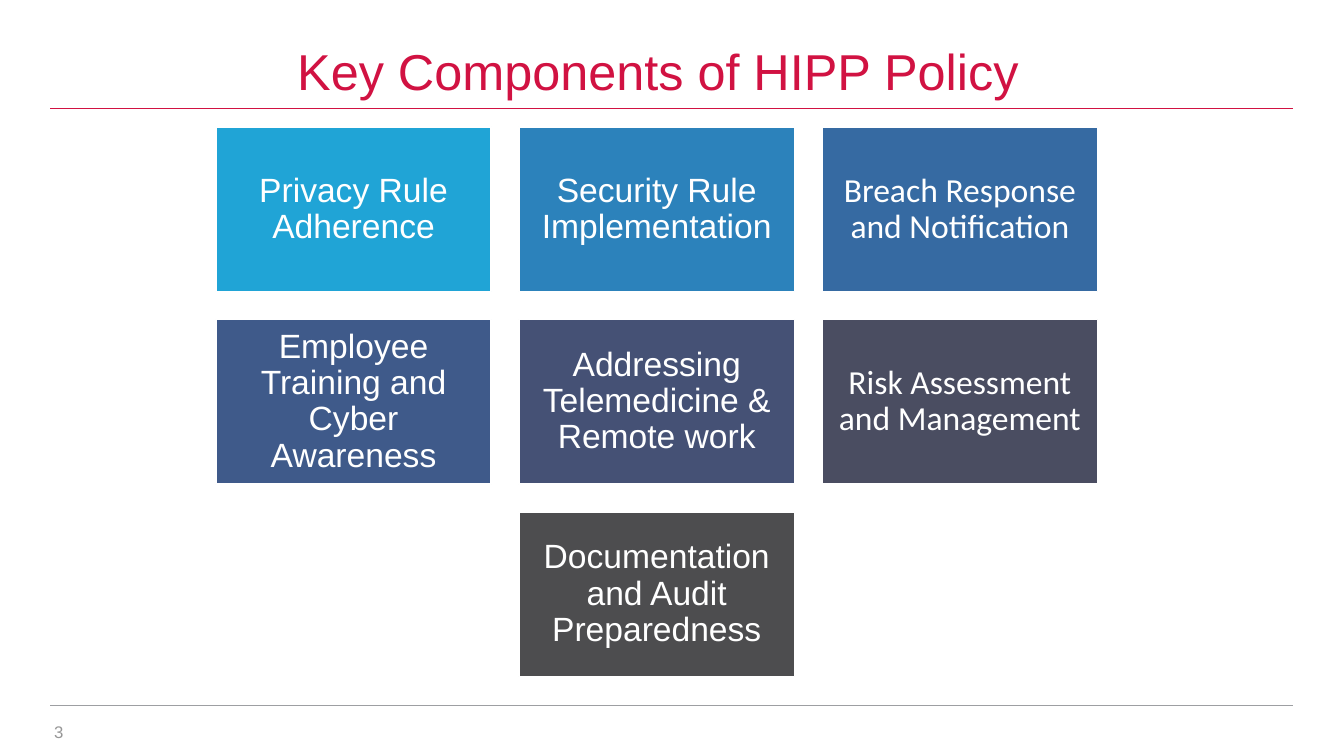
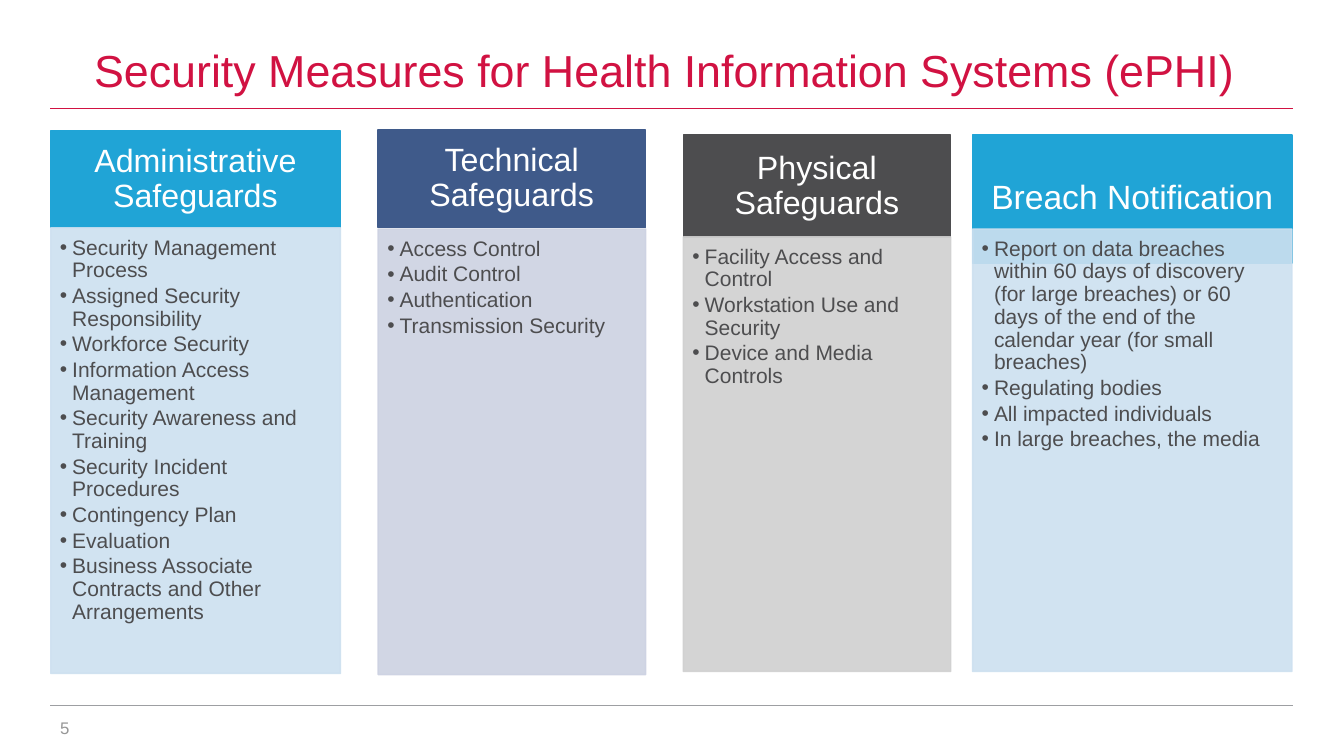
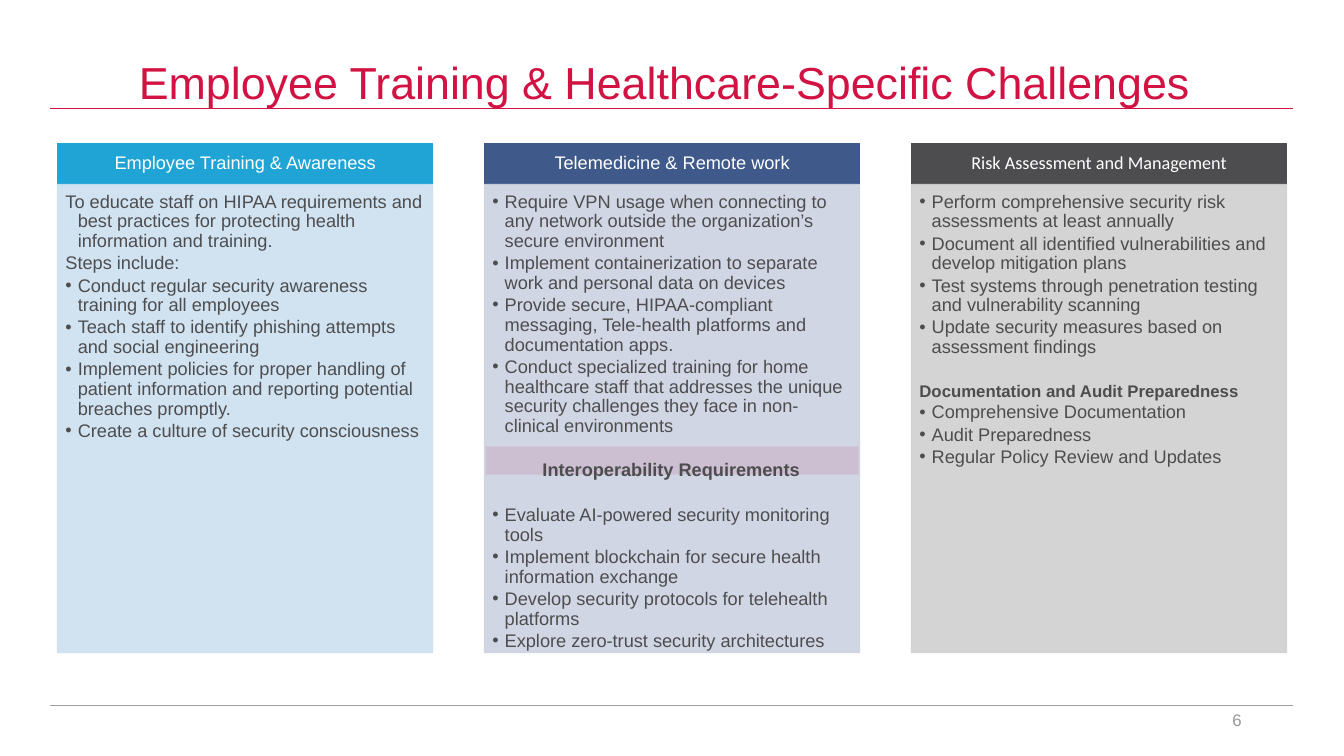
from dataclasses import dataclass

from lxml import etree
from pptx import Presentation
from pptx.dml.color import RGBColor
from pptx.enum.shapes import MSO_CONNECTOR, MSO_SHAPE
from pptx.enum.text import MSO_ANCHOR, MSO_AUTO_SIZE, PP_ALIGN
from pptx.oxml.ns import qn
from pptx.util import Cm, Pt

LEFT, CENTER, RIGHT = PP_ALIGN.LEFT, PP_ALIGN.CENTER, PP_ALIGN.RIGHT
TOP, MIDDLE, BOTTOM = MSO_ANCHOR.TOP, MSO_ANCHOR.MIDDLE, MSO_ANCHOR.BOTTOM
NO_FIT = MSO_AUTO_SIZE.NONE
RECTANGLE = MSO_SHAPE.RECTANGLE
STRAIGHT = MSO_CONNECTOR.STRAIGHT

TITLE_ONLY, COMPARISON = 5, 4  # layouts; the second has four body placeholders
COLORS = {
    "crimson": "D11242",
    "rule": "9D9FA2",
    "number": "979797",
    "white": "FFFFFF",
    "text": "4D4D4F",
    "sky": "20A4D6",
    "blue": "2C82BB",
    "steel": "366AA2",
    "navy": "3F5A8A",
    "indigo": "455175",
    "slate": "4A4D61",
    "charcoal": "4D4D4F",
    "pale sky": "CDE0F0",
    "pale navy": "CDD2E2",
    "pale gray": "D0D0D0",
}
PALE = {"sky": "pale sky", "navy": "pale navy", "charcoal": "pale gray"}
BULLET_INDENT = 0.31


@dataclass(frozen=True)
class Box:
    """A rectangle in centimetres."""
    left: float
    top: float
    width: float
    height: float


@dataclass(frozen=True)
class Tile:
    text: str
    color: str
    font: str = "Arial"


@dataclass(frozen=True)
class Item:
    """A paragraph of a list; before is the space above it in points."""
    text: str
    bullet: bool = True
    bold: bool = False
    align: PP_ALIGN = LEFT
    before: float = 0
    size: float | None = None


@dataclass(frozen=True)
class Column:
    head: Tile
    head_box: Box
    head_size: float
    body_top: float
    body_height: float
    items: list[Item]


def color(name):
    return RGBColor.from_string(COLORS[name])


def place(shape, box: Box):
    shape.left, shape.top = Cm(box.left), Cm(box.top)
    shape.width, shape.height = Cm(box.width), Cm(box.height)


def set_frame(shape, *, anchor=MIDDLE, insets=(0, 0, 0, 0)):
    """Insets are left, top, right and bottom in centimetres."""
    frame = shape.text_frame
    frame.word_wrap = True
    frame.auto_size = NO_FIT
    frame.vertical_anchor = anchor
    (frame.margin_left, frame.margin_top,
     frame.margin_right, frame.margin_bottom) = map(Cm, insets)
    return frame


def write(para, text, *, size, ink, font="Arial", bold=False, align=CENTER, before=0, after=0):
    para.alignment = align
    para.line_spacing = 0.9
    para.space_before, para.space_after = Pt(before), Pt(after)
    span = para.add_run()
    span.text = text
    span.font.name, span.font.size = font, Pt(size)
    span.font.bold = bold
    span.font.color.rgb = color(ink)


def set_bullet(para, shown: bool):
    properties = para._p.get_or_add_pPr()
    properties.set("marL", str(Cm(BULLET_INDENT)))
    properties.set("indent", str(-Cm(BULLET_INDENT)))
    if shown:
        etree.SubElement(properties, qn("a:buFont"), typeface="Arial")
        etree.SubElement(properties, qn("a:buChar"), char="•")
    else:
        etree.SubElement(properties, qn("a:buNone"))


def paint(shape, fill, line=None, opacity=100):
    shape.fill.solid()
    shape.fill.fore_color.rgb = color(fill)
    shape.line.width = Pt(1)
    shape.line.color.rgb = color(line or fill)
    shape.shadow.inherit = False
    if opacity < 100:
        for tint in shape._element.spPr.iter(qn("a:srgbClr")):
            etree.SubElement(tint, qn("a:alpha"), val=str(opacity * 1000))


def add_tile(page, tile: Tile, box: Box, size, *, line=None, insets=(0.25, 0.25, 0.25, 0.25)):
    shape = page.shapes.add_shape(RECTANGLE, 0, 0, 0, 0)
    place(shape, box)
    paint(shape, tile.color, line)
    frame = set_frame(shape, insets=insets)
    write(frame.paragraphs[0], tile.text, size=size, ink="white", font=tile.font)


def add_rule(page, top, ink):
    rule = page.shapes.add_connector(STRAIGHT, Cm(1.27), Cm(top), Cm(32.59), Cm(top))
    rule.line.width = Pt(0.5)
    rule.line.color.rgb = color(ink)
    etree.SubElement(rule._element.spPr, qn("a:effectLst"))


def add_page(deck, layout, title, title_box: Box, title_size, number, number_right, number_middle):
    """Add a slide with title, two rules and its number."""
    page = deck.slides.add_slide(deck.slide_layouts[layout])
    heading = page.shapes.title
    place(heading, title_box)
    frame = set_frame(heading, anchor=BOTTOM, insets=(0.25, 0.13, 0.25, 0.13))
    write(frame.paragraphs[0], title, size=title_size, ink="crimson")
    add_rule(page, 17.78, "rule")
    add_rule(page, 2.72, "crimson")
    label = page.shapes.add_textbox(0, 0, 0, 0)
    place(label, Box(number_right - 1, number_middle - 0.5, 1, 1))
    frame = set_frame(label)
    write(frame.paragraphs[0], number, size=12, ink="number", align=RIGHT)
    return page


def add_columns(page, columns: list[Column], size, head_insets, body_insets):
    bodies = [shape for shape in page.placeholders if shape.placeholder_format.idx > 0]
    for column, body in zip(columns, bodies):
        add_tile(page, column.head, column.head_box, column.head_size, insets=head_insets)
        page.shapes._spTree.append(body._element)  # bring in front of the head
        place(body, Box(column.head_box.left, column.body_top,
                        column.head_box.width, column.body_height))
        paint(body, PALE[column.head.color], opacity=90)
        frame = set_frame(body, anchor=TOP, insets=body_insets)
        for index, item in enumerate(column.items):
            para = frame.add_paragraph() if index else frame.paragraphs[0]
            write(para, item.text, size=item.size or size, ink="text", bold=item.bold,
                  align=item.align, before=item.before, after=round(size * 0.14, 1))
            set_bullet(para, item.bullet)
    for spare in bodies[len(columns):]:
        spare._element.getparent().remove(spare._element)


def build_components(deck):
    page = add_page(deck, TITLE_ONLY, "Key Components of HIPP Policy",
                    Box(0.8, 0.89, 31.57, 1.8), 36, "3", 1.6, 18.47)
    rows = [
        [Tile("Privacy Rule Adherence", "sky"),
         Tile("Security Rule Implementation", "blue"),
         Tile("Breach Response and Notification", "steel", "Calibri")],
        [Tile("Employee Training and Cyber Awareness", "navy"),
         Tile("Addressing Telemedicine & Remote work", "indigo"),
         Tile("Risk Assessment and Management", "slate", "Calibri")],
        [Tile("Documentation and Audit Preparedness", "charcoal")],
    ]
    width, height, gap = 6.94, 4.15, 0.7
    for row_index, row in enumerate(rows):
        shift = (len(rows[0]) - len(row)) / 2
        for index, tile in enumerate(row):
            box = Box(5.44 + (index + shift) * (width + gap),
                      3.2 + row_index * (height + gap), width, height)
            add_tile(page, tile, box, 24, line="white")


def build_safeguards(deck):
    page = add_page(deck, COMPARISON, "Security Measures for Health Information Systems (ePHI)",
                    Box(0.97, 0.61, 31.57, 1.98), 32, "5", 1.75, 18.36)
    columns = [
        Column(Tile("Administrative Safeguards", "sky"),
               Box(1.28, 3.3, 7.3, 2.44), 23, 5.74, 11.23, [
            Item("Security Management Process"),
            Item("Assigned Security Responsibility"),
            Item("Workforce Security"),
            Item("Information Access Management"),
            Item("Security Awareness and Training"),
            Item("Security Incident Procedures"),
            Item("Contingency Plan"),
            Item("Evaluation"),
            Item("Business Associate Contracts and Other Arrangements"),
        ]),
        Column(Tile("Technical Safeguards", "navy"),
               Box(9.53, 3.28, 6.74, 2.46), 23, 5.77, 11.23, [
            Item("Access Control"),
            Item("Audit Control"),
            Item("Authentication"),
            Item("Transmission Security"),
        ]),
        Column(Tile("Physical Safeguards", "charcoal"),
               Box(17.22, 3.4, 6.74, 2.59), 23, 5.97, 10.95, [
            Item("Facility Access and Control"),
            Item("Workstation Use and Security"),
            Item("Device and Media Controls"),
        ]),
        Column(Tile("Breach Notification", "sky"),
               Box(24.51, 3.4, 8.05, 3.23), 24, 5.77, 11.15, [
            Item("Report on data breaches within 60 days of discovery (for large breaches) "
                 "or 60 days of the end of the calendar year (for small breaches)"),
            Item("Regulating bodies"),
            Item("All impacted individuals"),
            Item("In large breaches, the media"),
        ]),
    ]
    add_columns(page, columns, 15, (0.45, 0.25, 0.45, 0.25), (0.23, 0.23, 0.3, 0.33))


def build_challenges(deck):
    page = add_page(deck, COMPARISON, "Employee Training & Healthcare-Specific Challenges",
                    Box(0.97, 0.84, 31.57, 2.03), 32, "6", 31.29, 18.16)
    band = page.shapes.add_shape(RECTANGLE, 0, 0, 0, 0)
    place(band, Box(12.24, 11.25, 9.4, 0.71))
    paint(band, "crimson")
    band.line.fill.background()
    gap = 16
    contents = [
        (Tile("Employee Training & Awareness", "sky"), [
            Item("To educate staff on HIPAA requirements and best practices for protecting "
                 "health information and training.", bullet=False),
            Item("Steps include:", bullet=False),
            Item("Conduct regular security awareness training for all employees"),
            Item("Teach staff to identify phishing attempts and social engineering"),
            Item("Implement policies for proper handling of patient information and "
                 "reporting potential breaches promptly."),
            Item("Create a culture of security consciousness"),
        ]),
        (Tile("Telemedicine & Remote work", "navy"), [
            Item("Require VPN usage when connecting to any network outside the "
                 "organization’s secure environment"),
            Item("Implement containerization to separate work and personal data on devices"),
            Item("Provide secure, HIPAA-compliant messaging, Tele-health platforms and "
                 "documentation apps."),
            Item("Conduct specialized training for home healthcare staff that addresses the "
                 "unique security challenges they face in non-clinical environments"),
            Item("Interoperability Requirements", bullet=False, bold=True, align=CENTER,
                 before=gap),
            Item("Evaluate AI-powered security monitoring tools", before=gap),
            Item("Implement blockchain for secure health information exchange"),
            Item("Develop security protocols for telehealth platforms"),
            Item("Explore zero-trust security architectures"),
        ]),
        (Tile("Risk Assessment and Management", "charcoal", "Calibri"), [
            Item("Perform comprehensive security risk assessments at least annually"),
            Item("Document all identified vulnerabilities and develop mitigation plans"),
            Item("Test systems through penetration testing and vulnerability scanning"),
            Item("Update security measures based on assessment findings"),
            Item("Documentation and Audit Preparedness", bullet=False, bold=True,
                 before=gap, size=12),
            Item("Comprehensive Documentation"),
            Item("Audit Preparedness"),
            Item("Regular Policy Review and Updates"),
        ]),
    ]
    columns = [
        Column(head, Box(1.45 + index * 10.76, 3.61, 9.45, 1.04), 13, 4.65, 11.79, items)
        for index, (head, items) in enumerate(contents)
    ]
    add_columns(page, columns, 13, (0.25, 0.15, 0.25, 0.15), (0.2, 0.2, 0.25, 0.28))


def main():
    deck = Presentation()
    deck.slide_width, deck.slide_height = Cm(33.87), Cm(19.05)
    build_components(deck)
    build_safeguards(deck)
    build_challenges(deck)
    deck.save("out.pptx")


if __name__ == "__main__":
    main()
